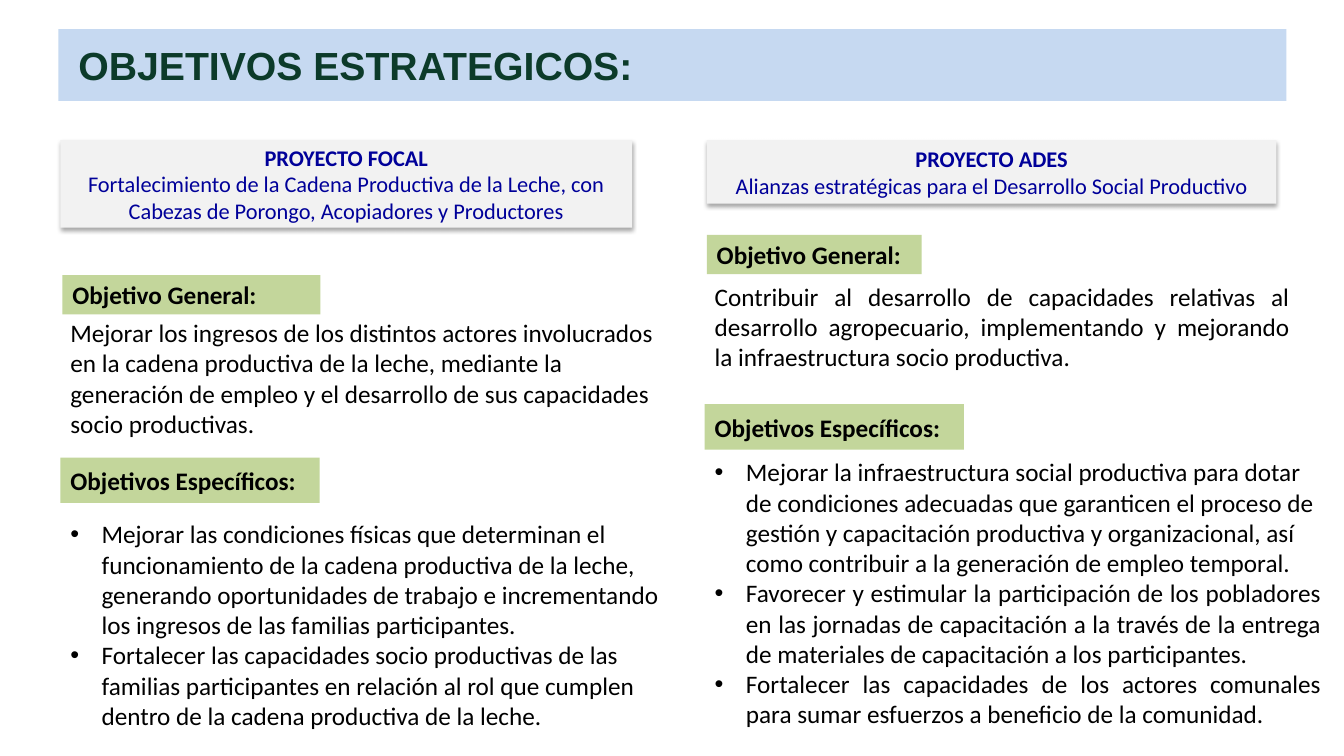
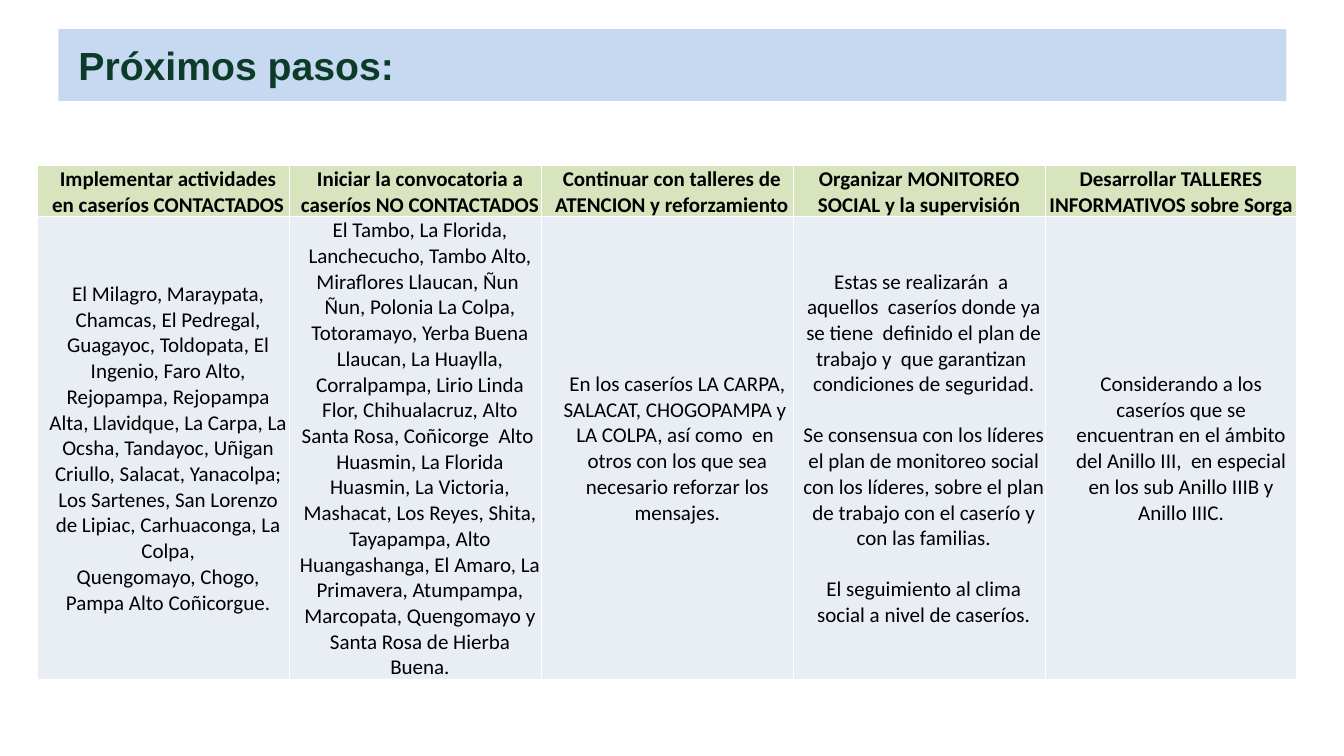
import pptx
import pptx.util
import pptx.dml.color
import pptx.enum.shapes
import pptx.enum.text
import pptx.oxml
import pptx.oxml.ns
import lxml.etree

RGB = pptx.dml.color.RGBColor
ALIGN = pptx.enum.text.PP_ALIGN
MIDDLE = pptx.enum.text.MSO_ANCHOR.MIDDLE
INCH = pptx.util.Inches
POINT = pptx.util.Pt

SKY = RGB(0xC6, 0xD9, 0xF1)
PINE = RGB(0x0C, 0x3B, 0x2A)
MIST = RGB(0xF2, 0xF2, 0xF2)
NAVY = RGB(0x00, 0x00, 0x99)
LEAF = RGB(0xC3, 0xD6, 0x9B)
LIME = RGB(0xD7, 0xE4, 0xBD)
PALE = RGB(0xE9, 0xED, 0xF4)
BLACK = RGB(0, 0, 0)

WIDE = INCH(13.33)
HIGH = INCH(7.5)
COL = WIDE / 100
ROW = HIGH / 100


def style(size, color=BLACK, bold=False, align=ALIGN.LEFT, left=0, hang=0, name="Calibri"):
    return {
        "font": {"name": name, "size": POINT(size), "bold": bold},
        "color": color, "align": align, "left": left, "hang": hang,
    }


TITLE = style(28, PINE, True, left=0.1, name="Arial")
HEAD = style(16, NAVY, True, ALIGN.CENTER)
TAG = style(18, bold=True, align=ALIGN.JUSTIFY)
BODY = style(18)
LIST = style(18, left=0.31, hang=0.31)
TOP = style(15, bold=True, align=ALIGN.CENTER)
CELL = style(15, align=ALIGN.CENTER)

PANELS = [
    [
        ("head", (4.5, 18.53, 42.53, 11.6), [
            "PROYECTO FOCAL",
            ("Fortalecimiento de la Cadena Productiva de la Leche, con Cabezas de Porongo, "
             "Acopiadores y Productores", {"bold": False})]),
        ("tag", (4.65, 36.4, 19.2, 5.2), ["Objetivo General:"]),
        ("body", (4.5, 43.73, 45.46, 12.53), [
            "Mejorar los ingresos de los distintos actores involucrados en la cadena productiva "
            "de la leche, mediante la generación de empleo y el desarrollo de sus capacidades "
            "socio productivas."]),
        ("tag", (4.5, 60.53, 19.28, 6), ["Objetivos Específicos:"]),
        ("list", (4.5, 70, 45.46, 25.2), [
            "Mejorar las condiciones físicas que determinan el funcionamiento de la cadena "
            "productiva de la leche, generando oportunidades de trabajo e incrementando los "
            "ingresos de las familias participantes.",
            "Fortalecer las capacidades socio productivas de las familias participantes en "
            "relación al rol que cumplen dentro de la cadena productiva de la leche."]),
    ],
    [
        ("head", (52.59, 18.53, 42.39, 8.4), [
            "PROYECTO ADES",
            ("Alianzas estratégicas para el Desarrollo Social Productivo", {"bold": False})]),
        ("tag", (52.59, 31.07, 15.98, 5.2), ["Objetivo General:"]),
        ("body", (52.44, 36.4, 44.26, 13.6), [
            ("Contribuir al desarrollo de capacidades relativas al desarrollo agropecuario, "
             "implementando y mejorando la infraestructura socio productiva.",
             {"align": ALIGN.JUSTIFY})]),
        ("tag", (52.44, 53.47, 19.28, 6), ["Objetivos Específicos:"]),
        ("list", (52.44, 60.53, 46.59, 35.73), [
            "Mejorar la infraestructura social productiva para dotar de condiciones adecuadas "
            "que garanticen el proceso de gestión y capacitación productiva y organizacional, "
            "así como contribuir a la generación de empleo temporal.",
            ("Favorecer y estimular la participación de los pobladores en las jornadas de "
             "capacitación a la través de la entrega de materiales de capacitación a los "
             "participantes.", {"align": ALIGN.JUSTIFY}),
            ("Fortalecer las capacidades de los actores comunales para sumar esfuerzos a "
             "beneficio de la comunidad.", {"align": ALIGN.JUSTIFY})]),
    ],
]

STEPS = [
    ("Implementar actividades en caseríos CONTACTADOS", 0.09, [
        "El Milagro, Maraypata, Chamcas, El Pedregal, Guagayoc, Toldopata, El Ingenio, Faro "
        "Alto, Rejopampa, Rejopampa Alta, Llavidque, La Carpa, La Ocsha, Tandayoc, Uñigan "
        "Criullo, Salacat, Yanacolpa; Los Sartenes, San Lorenzo de Lipiac, Carhuaconga, La "
        "Colpa,",
        "Quengomayo, Chogo, Pampa Alto Coñicorgue."], 0.09),
    ("Iniciar la convocatoria a caseríos NO CONTACTADOS", 0.09, [
        "El Tambo, La Florida, Lanchecucho, Tambo Alto, Miraflores Llaucan, Ñun  Ñun, Polonia "
        "La Colpa, Totoramayo, Yerba Buena Llaucan, La Huaylla, Corralpampa, Lirio Linda Flor, "
        "Chihualacruz, Alto Santa Rosa, Coñicorge  Alto  Huasmin, La Florida Huasmin, La "
        "Victoria, Mashacat, Los Reyes, Shita, Tayapampa, Alto Huangashanga, El Amaro, La "
        "Primavera, Atumpampa, Marcopata, Quengomayo y Santa Rosa de Hierba Buena."], 0.09),
    ("Continuar con talleres de ATENCION y reforzamiento", 0.09, [
        "En los caseríos LA CARPA, SALACAT, CHOGOPAMPA y  LA COLPA, así como  en  otros con "
        "los que sea necesario reforzar los mensajes."], 0.2),
    ("Organizar MONITOREO SOCIAL y la supervisión", 0, [
        "Estas se realizarán  a  aquellos  caseríos donde ya se tiene  definido el plan de "
        "trabajo y  que garantizan  condiciones de seguridad.",
        ("Se consensua con los líderes el plan de monitoreo social con los líderes, sobre el "
         "plan de trabajo con el caserío y con las familias.", {"gap": 18}),
        ("El seguimiento al clima social a nivel de caseríos.", {"gap": 18})], 0.09),
    ("Desarrollar TALLERES INFORMATIVOS sobre Sorga", 0, [
        "Considerando a los caseríos que se encuentran en el ámbito del Anillo III,  en "
        "especial en los sub Anillo IIIB y Anillo IIIC."], 0.2),
]


def apply(thing, values):
    for key, value in values.items():
        setattr(thing, key, value)


def add(root, tag, **values):
    return lxml.etree.SubElement(root, pptx.oxml.ns.qn(tag), values)


def place(left, top, width, height):
    return [round(part) for part in (left * COL, top * ROW, width * COL, height * ROW)]


def write(frame, lines, base):
    for index, line in enumerate(lines):
        text, change = (line, {}) if isinstance(line, str) else line
        look = {**base, **change}
        para = frame.paragraphs[0] if index == 0 else frame.add_paragraph()
        apply(para, {"alignment": look["align"], "space_before": POINT(look.get("gap", 0))})
        props = para._p.get_or_add_pPr()
        props.set("marL", str(INCH(look["left"])))
        props.set("indent", str(-INCH(look["hang"])))
        if look["hang"]:
            add(props, "a:buFont", typeface="Arial")
            add(props, "a:buChar", char="•")
        run = para.add_run()
        run.text = text
        apply(run.font, {**look["font"], "bold": look.get("bold", look["font"]["bold"])})
        run.font.color.rgb = look["color"]


def box(slide, area, fill, lines, base):
    shape = slide.shapes.add_shape(pptx.enum.shapes.MSO_SHAPE.RECTANGLE, *place(*area))
    shape.shadow.inherit = False
    shape.fill.solid()
    shape.fill.fore_color.rgb = fill
    shape.line.fill.background()
    apply(shape.text_frame, {"word_wrap": True, "vertical_anchor": MIDDLE})
    write(shape.text_frame, lines, base)
    return shape


def title(slide, text):
    box(slide, (4.35, 3.87, 91.37, 9.47), SKY, [text], TITLE)


def head(slide, area, lines):
    shape = box(slide, area, MIST, lines, HEAD)
    glow = shape._element.spPr.find(pptx.oxml.ns.qn("a:effectLst"))
    cast = add(glow, "a:outerShdw", blurRad=str(POINT(3.1)), dist=str(POINT(1.8)),
               dir="5400000", rotWithShape="0")
    add(add(cast, "a:srgbClr", val=str(BLACK)), "a:alpha", val="35000")


def tag(slide, area, lines):
    box(slide, area, LEAF, lines, TAG)


def body(slide, area, lines, base=BODY):
    frame = slide.shapes.add_textbox(*place(*area)).text_frame
    apply(frame, {"word_wrap": True, "vertical_anchor": MIDDLE})
    write(frame, lines, base)


def bullets(slide, area, lines):
    body(slide, area, lines, LIST)


def edge(cell):
    props = cell._tc.get_or_add_tcPr()
    for index, side in enumerate("LRTB"):
        line = pptx.oxml.parse_xml(
            f'<a:ln{side} {pptx.oxml.ns.nsdecls("a")} w="{POINT(1)}"><a:solidFill>'
            f'<a:srgbClr val="FFFFFF"/></a:solidFill></a:ln{side}>')
        props.insert(index, line)


def fill(cell, color, lines, base, left):
    pad = INCH(0.01)
    apply(cell, {"margin_left": pad, "margin_right": pad, "margin_top": pad,
                 "margin_bottom": 0, "vertical_anchor": MIDDLE})
    cell.fill.solid()
    cell.fill.fore_color.rgb = color
    edge(cell)
    write(cell.text_frame, lines, {**base, "left": left})


def grid(slide, area, steps):
    table = slide.shapes.add_table(2, len(steps), *place(*area)).table
    apply(table, {"first_row": False, "horz_banding": False})
    for row, share in zip(table.rows, (0.1, 0.9)):
        row.height = round(area[3] * ROW * share)
    for index, (name, inset, lines, left) in enumerate(steps):
        table.columns[index].width = round(area[2] * COL / len(steps))
        fill(table.cell(0, index), LIME, [name], TOP, inset)
        fill(table.cell(1, index), PALE, lines, CELL, left)


def main():
    deck = pptx.Presentation()
    apply(deck, {"slide_width": WIDE, "slide_height": HIGH})
    blank = deck.slide_layouts[6]

    goals = deck.slides.add_slide(blank)
    title(goals, "OBJETIVOS ESTRATEGICOS:")
    kinds = {"head": head, "tag": tag, "body": body, "list": bullets}
    for panel in PANELS:
        for kind, area, lines in panel:
            kinds[kind](goals, area, lines)

    plan = deck.slides.add_slide(blank)
    grid(plan, (2.8, 21.87, 93.7, 68), STEPS)
    title(plan, "Próximos pasos:")

    deck.save("out.pptx")


if __name__ == "__main__":
    main()
